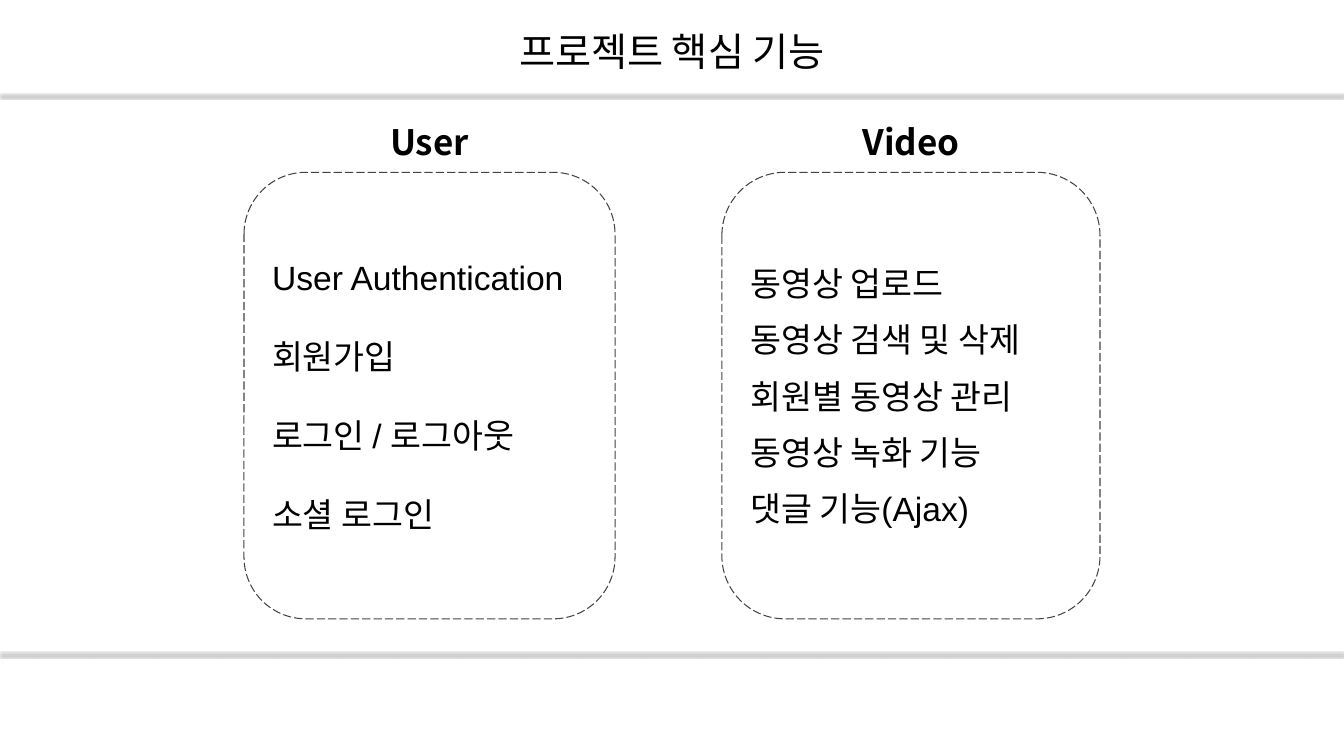
from lxml.etree import SubElement
from pptx import Presentation
from pptx.dml.color import RGBColor
from pptx.enum.dml import MSO_LINE
from pptx.enum.shapes import MSO_CONNECTOR, MSO_SHAPE
from pptx.enum.text import MSO_ANCHOR, MSO_AUTO_SIZE, PP_ALIGN
from pptx.oxml.ns import qn
from pptx.util import Inches, Pt

WIDTH, HEIGHT = 13.33, 7.5
HEADING_FONT, BODY_FONT = "Noto Sans CJK KR", "Arial"
TITLE_FORMAT = {"size": Pt(28), "name": HEADING_FONT, "bold": False}
HEADING_FORMAT = {"size": Pt(25), "name": HEADING_FONT, "bold": True}
ITEM_FORMAT = {"size": Pt(24), "name": BODY_FONT, "bold": False}

FEATURES = [
    {"heading": "User", "left": 2.42, "width": 3.68, "gap": 27.6,
     "items": ["User Authentication", "회원가입", "로그인 / 로그아웃", "소셜 로그인"]},
    {"heading": "Video", "left": 7.16, "width": 3.75, "gap": 11.5,
     "items": ["동영상 업로드", "동영상 검색 및 삭제", "회원별 동영상 관리",
               "동영상 녹화 기능", "댓글 기능(Ajax)"]},
]


def color(value):
    return RGBColor.from_string(value)


def write_text(shape, lines, text_format, alignment, inset, gap=0):
    frame = shape.text_frame
    frame_format = {
        "word_wrap": True, "auto_size": MSO_AUTO_SIZE.NONE,
        "vertical_anchor": MSO_ANCHOR.MIDDLE,
        "margin_left": Inches(0.1), "margin_right": Inches(0.1),
        "margin_top": Inches(inset), "margin_bottom": Inches(inset),
    }
    for name, value in frame_format.items():
        setattr(frame, name, value)
    for index, line in enumerate(lines):
        paragraph = frame.paragraphs[0] if index == 0 else frame.add_paragraph()
        paragraph.alignment = alignment
        paragraph.space_before = Pt(gap if index else 0)
        run = paragraph.add_run()
        run.text = line
        for name, value in text_format.items():
            setattr(run.font, name, value)
        run.font.color.rgb = color("000000")
        if text_format["name"] == HEADING_FONT:
            SubElement(run.font._element, qn("a:ea"), typeface=HEADING_FONT)


def add_title(slide, left, top, width, height):
    title = slide.shapes.title
    box = {"left": left, "top": top, "width": width, "height": height}
    for name, value in box.items():
        setattr(title, name, Inches(value))
    write_text(title, ["프로젝트 핵심 기능"], TITLE_FORMAT, PP_ALIGN.CENTER, 0.05)


def add_divider(slide, top):
    divider = slide.shapes.add_connector(
        MSO_CONNECTOR.STRAIGHT, 0, Inches(top), Inches(WIDTH), Inches(top))
    divider.line.color.rgb = color("FFFFFF")
    divider.line.width = Pt(1.5)
    effects = SubElement(divider._element.spPr, qn("a:effectLst"))
    shadow = SubElement(effects, qn("a:outerShdw"), blurRad=str(Pt(2)),
                        dist=str(Pt(3)), dir="5400000", algn="bl", rotWithShape="0")
    shade = SubElement(shadow, qn("a:srgbClr"), val="000000")
    SubElement(shade, qn("a:alpha"), val="33000")


def add_feature(slide, feature, top, height):
    left, width = feature["left"], feature["width"]
    panel = slide.shapes.add_shape(
        MSO_SHAPE.ROUNDED_RECTANGLE,
        Inches(left), Inches(top), Inches(width), Inches(height))
    panel.shadow.inherit = False
    panel.fill.background()
    line_format = {"width": Pt(0.75), "dash_style": MSO_LINE.LONG_DASH}
    for name, value in line_format.items():
        setattr(panel.line, name, value)
    panel.line.color.rgb = color("434343")
    write_text(panel, feature["items"], ITEM_FORMAT, PP_ALIGN.LEFT, 0.1, feature["gap"])

    heading_width = 1.9
    heading = slide.shapes.add_textbox(
        Inches(left + (width - heading_width) / 2), Inches(top - 0.48),
        Inches(heading_width), Inches(0.34))
    write_text(heading, [feature["heading"]], HEADING_FORMAT, PP_ALIGN.CENTER, 0.1)


def main():
    presentation = Presentation()
    presentation.slide_width = Inches(WIDTH)
    presentation.slide_height = Inches(HEIGHT)
    slide = presentation.slides.add_slide(presentation.slide_layouts[5])
    add_title(slide, 0, 0.18, WIDTH, 0.64)
    for top in (0.91, 6.45):
        add_divider(slide, top)
    for feature in FEATURES:
        add_feature(slide, feature, 1.71, 4.43)
    presentation.save("out.pptx")


if __name__ == "__main__":
    main()
